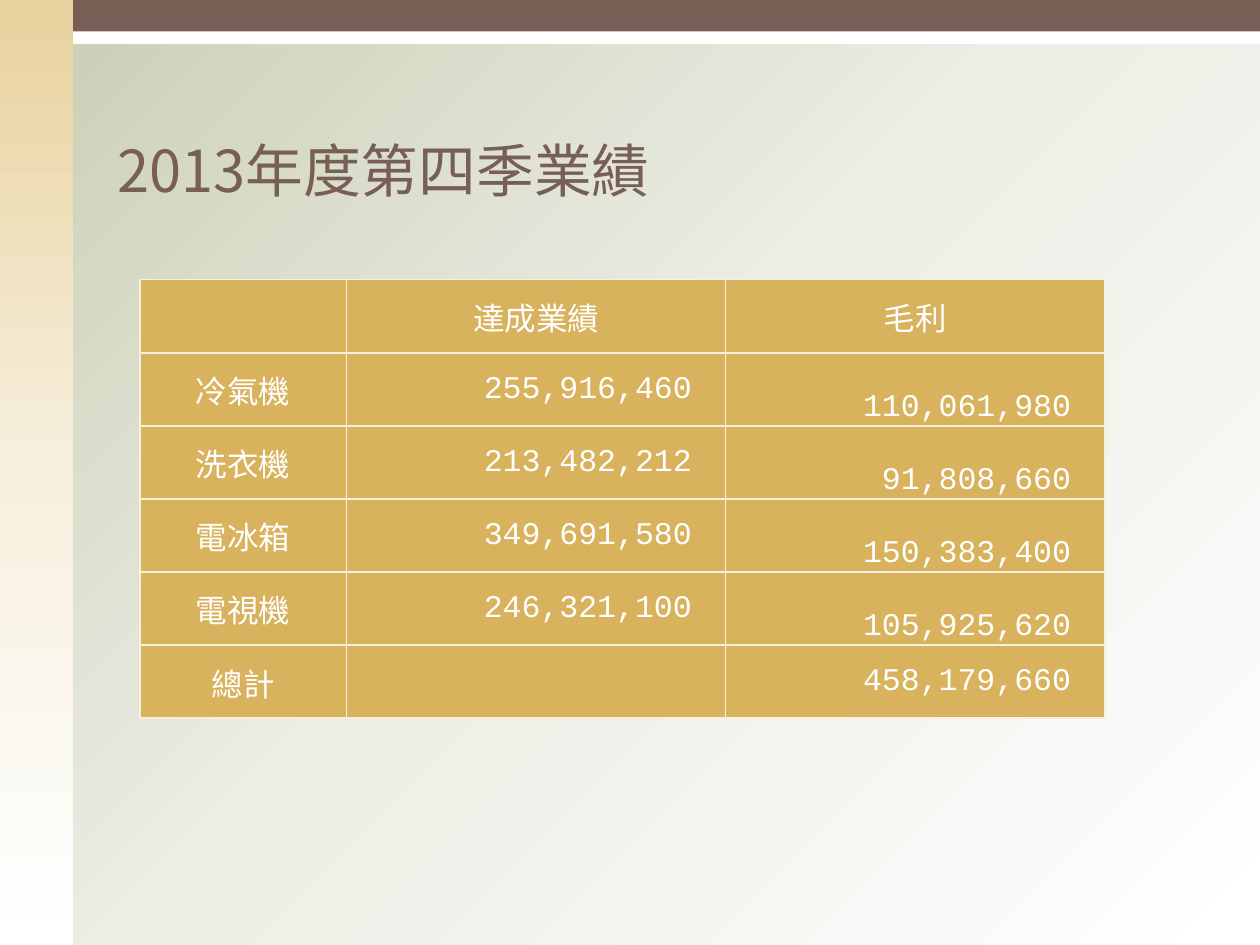
import copy
import pptx
import pptx.util
import pptx.dml.color
import pptx.enum.shapes
import pptx.enum.text
import pptx.oxml.ns
import lxml.etree

Inches = pptx.util.Inches
qn = pptx.oxml.ns.qn
Align = pptx.enum.text.PP_ALIGN
Anchor = pptx.enum.text.MSO_ANCHOR

TITLE = "2013年度第四季業績"
ROWS = [
    ("", "達成業績", "毛利"),
    ("冷氣機", "255,916,460", "110,061,980"),
    ("洗衣機", "213,482,212", "91,808,660"),
    ("電冰箱", "349,691,580", "150,383,400"),
    ("電視機", "246,321,100", "105,925,620"),
    ("總計", "", "458,179,660"),
]
WIDTHS = [1.64, 3.01, 3.01]
HEIGHT = 0.58
SERIF, MONO, SANS = "TeX Gyre Schola", "Courier New", "Noto Sans CJK KR"
BROWN, GOLD, CREAM, WHITE = "775F55", "D8B25C", "F7F0DE", "FFFFFF"
SAGE = ["C9CDB3", "EDEEE6", WHITE]
SAND = ["E8D19D", CREAM, WHITE]


def tint(text):
    return pptx.dml.color.RGBColor.from_string(text)


def grade(owner, fill, tones, angle):
    fill.gradient()
    fill.gradient_angle = angle
    stops = next(owner.element.iter(qn("a:gsLst")))
    stops.append(copy.deepcopy(stops[0]))
    for i, (stop, tone) in enumerate(zip(fill.gradient_stops, tones)):
        stop.position = i / (len(tones) - 1)
        stop.color.rgb = tint(tone)


def band(slide, left, width, height):
    kind = pptx.enum.shapes.MSO_SHAPE.RECTANGLE
    shape = slide.shapes.add_shape(
        kind, Inches(left), 0, Inches(width), Inches(height))
    shape.shadow.inherit = False
    shape.line.fill.background()
    return shape


def paint(shape, tone):
    shape.fill.solid()
    shape.fill.fore_color.rgb = tint(tone)


def write(frame, text, size, font, tone, align):
    para = frame.paragraphs[0]
    para.alignment = align
    run = para.add_run()
    run.text = text
    run.font.size = pptx.util.Pt(size)
    run.font.name = font
    run.font.color.rgb = tint(tone)
    east = lxml.etree.SubElement(run.font._element, qn("a:ea"))
    east.set("typeface", SANS)


def edge(cell):
    props = cell._tc.get_or_add_tcPr()
    for i, side in enumerate(("lnL", "lnR", "lnT", "lnB")):
        line = lxml.etree.Element(qn("a:" + side), w="12700")
        fill = lxml.etree.SubElement(line, qn("a:solidFill"))
        lxml.etree.SubElement(fill, qn("a:srgbClr"), val=CREAM)
        props.insert(i, line)


def fill_cell(cell, text, row, col):
    paint(cell, GOLD)
    edge(cell)
    number = row > 0 and col > 0
    low = col == 2 and 0 < row < len(ROWS) - 1
    cell.vertical_anchor = Anchor.BOTTOM if low else Anchor.MIDDLE
    cell.margin_left = cell.margin_top = Inches(0.01)
    cell.margin_right = Inches(0.27 if number else 0.01)
    cell.margin_bottom = 0
    if text:
        write(cell.text_frame, text, 18, MONO if number else SERIF,
              WHITE, Align.RIGHT if number else Align.CENTER)


def main():
    deck = pptx.Presentation()
    deck.slide_width, deck.slide_height = Inches(10), Inches(7.5)
    slide = deck.slides.add_slide(deck.slide_layouts[5])
    grade(slide, slide.background.fill, SAGE, 315)

    paint(band(slide, 0, 10, 0.35), WHITE)
    side = band(slide, 0, 0.58, 7.5)
    grade(side, side.fill, SAND, 270)
    paint(band(slide, 0.58, 9.42, 0.25), BROWN)

    title = slide.shapes.title
    title.left, title.top = Inches(0.83), Inches(0.42)
    title.width, title.height = Inches(8.75), Inches(1.25)
    title.text_frame.vertical_anchor = Anchor.BOTTOM
    write(title.text_frame, TITLE, 33, SANS, BROWN, Align.LEFT)

    table = slide.shapes.add_table(
        len(ROWS), len(WIDTHS), Inches(1.11), Inches(2.22),
        Inches(sum(WIDTHS)), Inches(HEIGHT * len(ROWS))).table
    for column, width in zip(table.columns, WIDTHS):
        column.width = Inches(width)
    for r, row in enumerate(ROWS):
        for c, text in enumerate(row):
            fill_cell(table.cell(r, c), text, r, c)

    deck.save("out.pptx")


if __name__ == "__main__":
    main()
